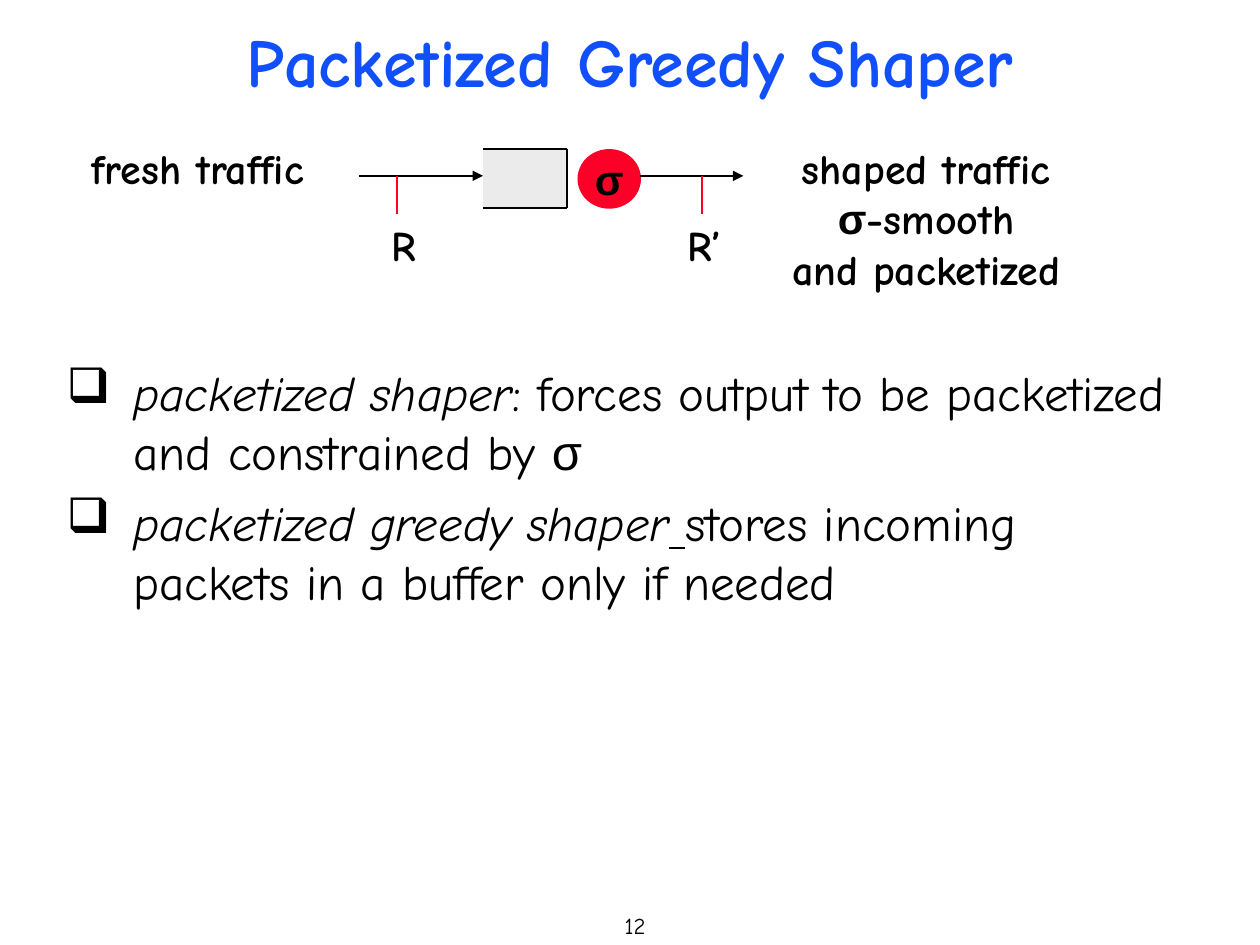
from dataclasses import dataclass
from typing import Any

from lxml.etree import SubElement
from pptx import Presentation
from pptx.dml.color import RGBColor
from pptx.enum.shapes import MSO_CONNECTOR as Connector, MSO_SHAPE as Preset
from pptx.enum.text import MSO_ANCHOR as Anchor, PP_ALIGN as Align
from pptx.oxml.ns import qn
from pptx.util import Pt


@dataclass(frozen=True)
class Theme:
    font: str = "Comic Neue"
    greek_font: str = "Arial"
    ink: str = "000000"
    title: str = "114FFB"
    accent: str = "FC0128"
    buffer: str = "EBEBEB"
    title_size: float = 39
    body_size: float = 28
    label_size: float = 24
    number_size: float = 13
    line_width: float = 1


THEME = Theme()


@dataclass(frozen=True)
class Box:
    left: float
    top: float
    width: float
    height: float

    def lengths(self) -> list[Pt]:
        return [Pt(value) for value in (self.left, self.top, self.width, self.height)]


@dataclass(frozen=True)
class Run:
    text: str
    font: str = THEME.font
    italic: bool = False
    underline: bool = False


@dataclass(frozen=True)
class Label:
    box: Box
    paragraphs: list[list[Run]]
    size: float = THEME.label_size
    color: str = THEME.ink
    bold: bool = True
    align: Align = Align.CENTER
    anchor: Anchor = Anchor.TOP
    wrap: bool = False
    bullet: str = ""


@dataclass(frozen=True)
class Line:
    start: tuple[float, float]
    end: tuple[float, float]
    color: str = THEME.ink
    arrow: bool = False


BUFFER = Box(276, 85, 48, 33.8)
SERVER = Box(330.5, 85.7, 35.3, 33.1)
BUFFER_RIGHT = BUFFER.left + BUFFER.width
BUFFER_BOTTOM = BUFFER.top + BUFFER.height
SERVER_RIGHT = SERVER.left + SERVER.width
FLOW_Y = 100.5
TICK_BOTTOM = 122.4
SIGMA = Run("σ", THEME.greek_font)

LINES = [
    Line((BUFFER.left, BUFFER.top), (BUFFER_RIGHT, BUFFER.top)),
    Line((BUFFER.left, BUFFER_BOTTOM), (BUFFER_RIGHT, BUFFER_BOTTOM)),
    Line((BUFFER_RIGHT, BUFFER.top), (BUFFER_RIGHT, BUFFER_BOTTOM)),
    Line((205.2, FLOW_Y), (BUFFER.left, FLOW_Y), arrow=True),
    Line((SERVER_RIGHT, FLOW_Y), (424.8, FLOW_Y), arrow=True),
    *(Line((x, FLOW_Y), (x, TICK_BOTTOM), THEME.accent) for x in (226.8, 401)),
]

LABELS = [
    Label(Box(0, 7.2, 720, 54), [[Run("Packetized Greedy Shaper")]],
          THEME.title_size, THEME.title, anchor=Anchor.BOTTOM, wrap=True),
    Label(Box(44.6, 77.8, 136.8, 36), [[Run("fresh traffic")]]),
    Label(Box(216.7, 121.7, 28.1, 36), [[Run("R")]], align=Align.RIGHT),
    Label(Box(385.9, 121.7, 33.1, 36), [[Run("R’")]], align=Align.RIGHT),
    Label(Box(445, 77.8, 168.5, 93.6),
          [[Run("shaped traffic")], [SIGMA, Run("-smooth")], [Run("and packetized")]]),
    Label(Box(31, 203.8, 653, 316.8), [
        [Run("packetized shaper", italic=True),
         Run(": forces output to be packetized and constrained by "), SIGMA],
        [Run("packetized greedy shaper", italic=True), Run(" ", underline=True),
         Run("stores incoming packets in a buffer only if needed")],
    ], THEME.body_size, bold=False, align=Align.LEFT, wrap=True, bullet="❑"),
    Label(Box(297.4, 517.7, 78.5, 22.3), [[Run("12")]], THEME.number_size,
          bold=False, align=Align.RIGHT, anchor=Anchor.MIDDLE),
]


def set_attributes(target: Any, values: dict[str, Any]) -> None:
    for name, value in values.items():
        setattr(target, name, value)


def add_bullet(paragraph: Any, character: str) -> None:
    paragraph.space_before = Pt(7)
    properties = paragraph._p.get_or_add_pPr()
    properties.set("marL", str(Pt(38.2)))
    properties.set("indent", str(-Pt(38.2)))
    SubElement(properties, qn("a:buChar"), char=character)


def write_text(shape: Any, label: Label) -> None:
    frame = shape.text_frame
    set_attributes(frame, {"word_wrap": label.wrap, "vertical_anchor": label.anchor})
    for index, runs in enumerate(label.paragraphs):
        paragraph = frame.add_paragraph() if index else frame.paragraphs[0]
        paragraph.alignment = label.align
        if label.bullet:
            add_bullet(paragraph, label.bullet)
        for item in runs:
            run = paragraph.add_run()
            run.text = item.text
            set_attributes(run.font, {
                "name": item.font, "size": Pt(label.size), "bold": label.bold,
                "italic": item.italic, "underline": item.underline,
            })
            run.font.color.rgb = RGBColor.from_string(label.color)


def add_label(slide: Any, label: Label) -> None:
    write_text(slide.shapes.add_textbox(*label.box.lengths()), label)


def add_block(slide: Any, preset: Preset, box: Box, color: str) -> Any:
    shape = slide.shapes.add_shape(preset, *box.lengths())
    shape.shadow.inherit = False
    shape.fill.solid()
    shape.fill.fore_color.rgb = RGBColor.from_string(color)
    shape.line.fill.background()
    return shape


def add_line(slide: Any, line: Line) -> None:
    points = [Pt(value) for value in (*line.start, *line.end)]
    connector = slide.shapes.add_connector(Connector.STRAIGHT, *points)
    connector.line.width = Pt(THEME.line_width)
    connector.line.color.rgb = RGBColor.from_string(line.color)
    if line.arrow:
        SubElement(connector.line._get_or_add_ln(), qn("a:tailEnd"), type="triangle")
    SubElement(connector._element.spPr, qn("a:effectLst"))


def main() -> None:
    presentation = Presentation()
    set_attributes(presentation, {"slide_width": Pt(720), "slide_height": Pt(540)})
    slide = presentation.slides.add_slide(presentation.slide_layouts[6])
    add_block(slide, Preset.RECTANGLE, BUFFER, THEME.buffer)
    server = add_block(slide, Preset.OVAL, SERVER, THEME.accent)
    server.line.color.rgb = RGBColor.from_string(THEME.accent)
    server.line.width = Pt(THEME.line_width)
    write_text(server, Label(SERVER, [[SIGMA]], anchor=Anchor.MIDDLE))
    for line in LINES:
        add_line(slide, line)
    for label in LABELS:
        add_label(slide, label)
    presentation.save("out.pptx")


if __name__ == "__main__":
    main()
